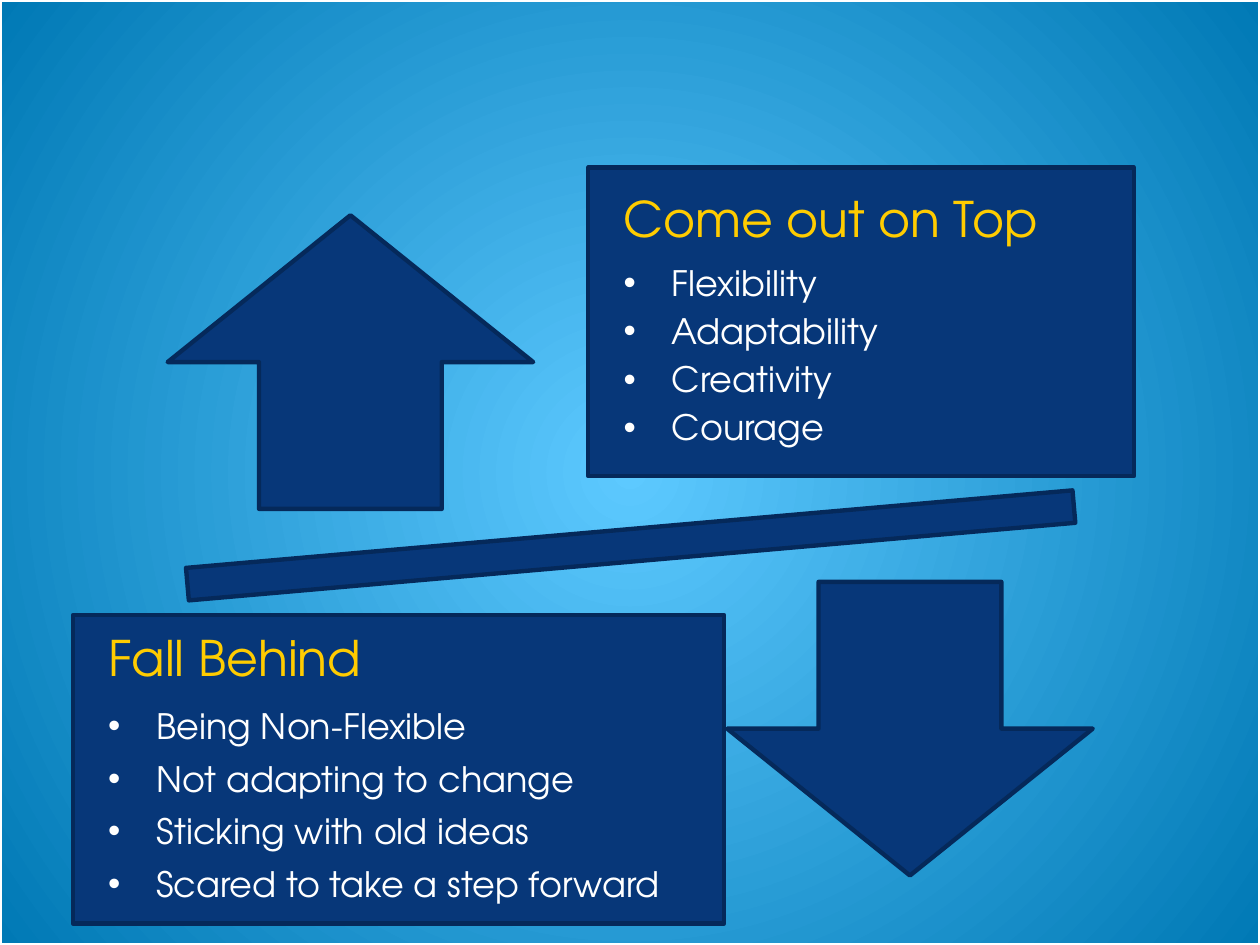
from pptx import Presentation
from pptx.dml.color import RGBColor
from pptx.enum.shapes import MSO_SHAPE
from pptx.enum.text import MSO_ANCHOR, PP_ALIGN
from pptx.oxml import parse_xml
from pptx.oxml.ns import nsdecls, qn
from pptx.util import Cm, Pt
from lxml.etree import SubElement

NAVY = RGBColor(0x07, 0x37, 0x79)
EDGE = RGBColor(0x05, 0x29, 0x5A)
YELLOW = RGBColor(0xFF, 0xCC, 0x00)
WHITE = RGBColor(0xFF, 0xFF, 0xFF)
GLOW = RGBColor(0x5D, 0xC9, 0xFF)
DEEP = RGBColor(0x00, 0x79, 0xB5)

FONT = "TeX Gyre Adventor"
HEADING = {"name": FONT, "size": Pt(28), "color": YELLOW}
ITEM = {"name": FONT, "size": Pt(20), "color": WHITE}
INDENT = Cm(0.97)


def add_block(s, kind, box, fill=NAVY, edge=EDGE, weight=2.5):
    """Add a preset shape in box (left, top, width, height in cm)."""
    sp = s.shapes.add_shape(kind, *map(Cm, box))
    sp.shadow.inherit = False
    if fill is None:
        sp.fill.background()
    else:
        sp.fill.solid()
        sp.fill.fore_color.rgb = fill
    sp.line.color.rgb = edge
    sp.line.width = Pt(weight)
    return sp


def add_text(p, text, style, **spacing):
    r = p.add_run()
    r.text = text
    for key, value in style.items():
        if key == "color":
            r.font.color.rgb = value
        else:
            setattr(r.font, key, value)
    for key, value in {"alignment": PP_ALIGN.LEFT, **spacing}.items():
        setattr(p, key, value)


def add_bullet(p):
    pPr = p._p.get_or_add_pPr()
    pPr.set("marL", str(INDENT))
    pPr.set("indent", str(-INDENT))
    SubElement(pPr, qn("a:buFont")).set("typeface", "Arial")
    SubElement(pPr, qn("a:buChar")).set("char", "•")


def add_panel(s, box, heading, items, item_spacing):
    """Add a panel with a heading above a bulleted list."""
    tf = add_block(s, MSO_SHAPE.RECTANGLE, box).text_frame
    frame = {"word_wrap": True, "vertical_anchor": MSO_ANCHOR.MIDDLE}
    frame.update({f"margin_{side}": Cm(0.71)
                  for side in ("left", "top", "right", "bottom")})
    for key, value in frame.items():
        setattr(tf, key, value)
    add_text(tf.paragraphs[0], heading, HEADING,
             line_spacing=0.9, space_after=Pt(10))
    for item in items:
        p = tf.add_paragraph()
        add_text(p, item, ITEM, line_spacing=item_spacing, space_after=Pt(6))
        add_bullet(p)


def add_background(s):
    """Fill the background with a glow from the centre."""
    fill = s.background.fill
    fill.gradient()
    for stop, color, position in zip(fill.gradient_stops, (GLOW, DEEP), (0, 1)):
        stop.color.rgb = color
        stop.position = position
    grad = s.background._cSld.find(".//" + qn("a:gradFill"))
    grad.replace(grad.find(qn("a:lin")), parse_xml(
        f'<a:path {nsdecls("a")} path="circle">'
        '<a:fillToRect l="50000" t="50000" r="50000" b="50000"/></a:path>'))


def add_seesaw(s, left, top):
    """Add the tilted bar, with an arrow and a panel on each side."""
    bar = add_block(s, MSO_SHAPE.MATH_MINUS, (left, top + 6.22, 24.41, 2.79))
    bar.rotation = 355

    # Rising side
    add_block(s, MSO_SHAPE.UP_ARROW, (left + 2.87, top + 0.96, 7.37, 5.92))
    add_panel(s, (left + 11.35, top, 11, 6.22), "Come out on Top",
              ("Flexibility", "Adaptability", "Creativity", "Courage"), 0.9)

    # Falling side
    add_block(s, MSO_SHAPE.DOWN_ARROW, (left + 14.15, top + 8.35, 7.37, 5.92))
    add_panel(s, (left + 0.96, top + 9.02, 13.13, 6.22), "Fall Behind",
              ("Being Non-Flexible", "Not adapting to change",
               "Sticking with old ideas", "Scared to take a step forward"), 1.0)


def main():
    prs = Presentation()
    prs.slide_width, prs.slide_height = Cm(25.4), Cm(19.05)
    s = prs.slides.add_slide(prs.slide_layouts[6])
    add_background(s)
    # White border round the slide
    add_block(s, MSO_SHAPE.RECTANGLE, (0, 0, 25.4, 19.05), None, WHITE, 2)
    add_seesaw(s, 0.51, 3.38)
    prs.save("out.pptx")


if __name__ == "__main__":
    main()
